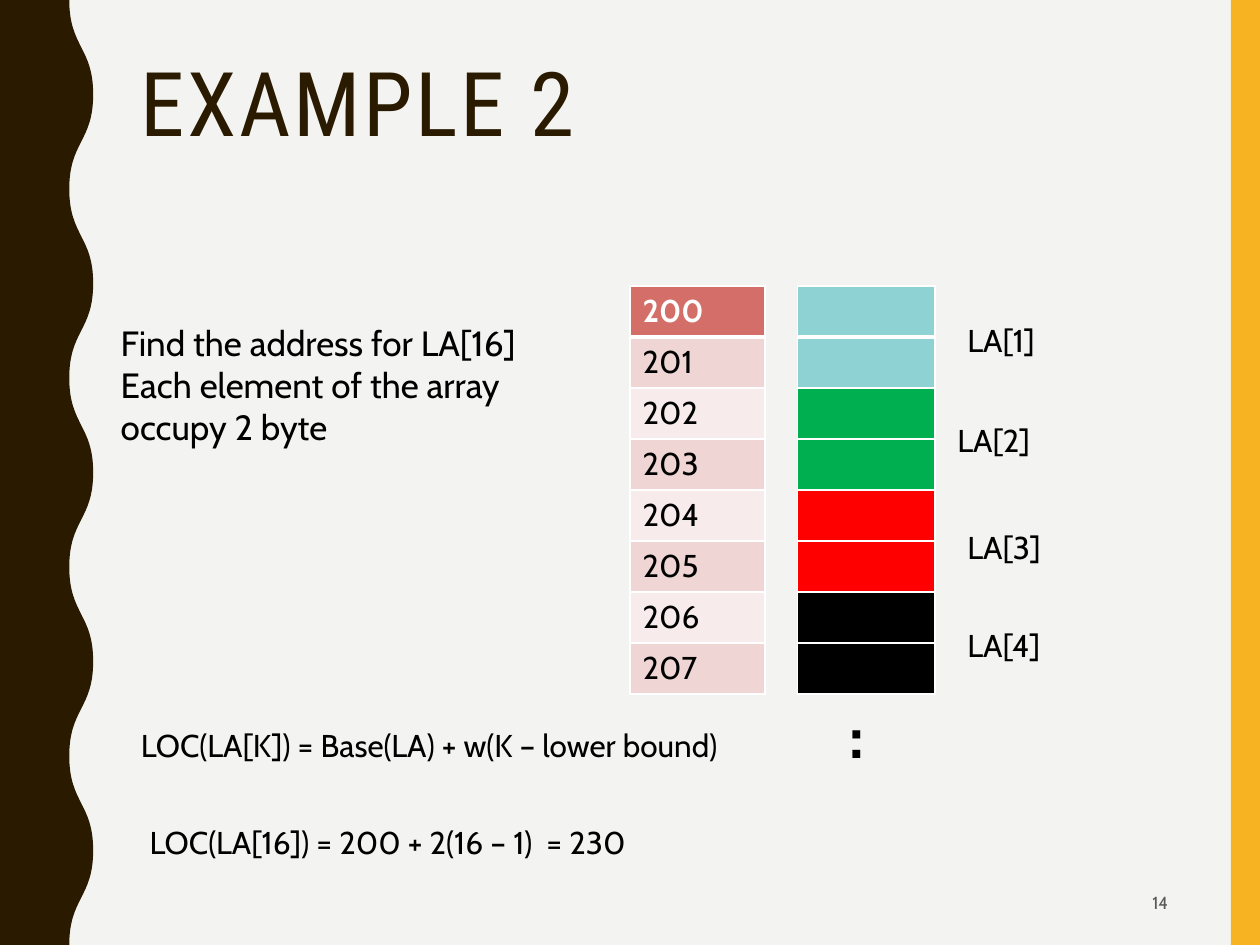
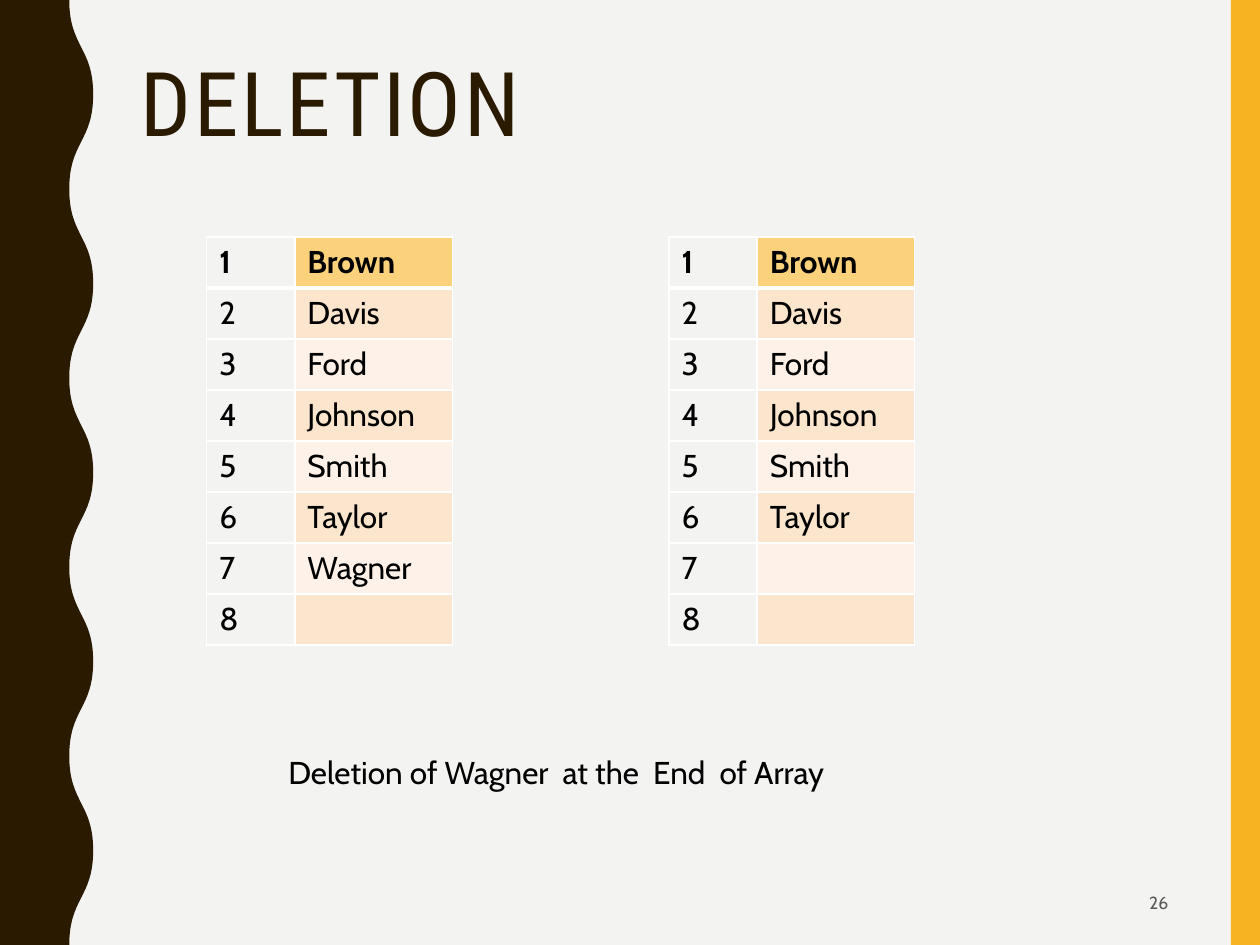
from lxml.etree import SubElement
from pptx import Presentation
from pptx.dml.color import RGBColor
from pptx.enum.shapes import MSO_SHAPE
from pptx.enum.text import MSO_ANCHOR, PP_ALIGN
from pptx.oxml.ns import qn
from pptx.util import Pt

PX = 9144
C = {
    "bg": "F3F3F2", "brown": "2A1A00", "gold": "F8B323", "grey": "595959",
    "black": "000000", "white": "FFFFFF",
    "teal": "8FD2D4", "green": "00B050", "red": "FF0000",
    "rose": "D36F68", "rose_mid": "EFD5D4", "rose_pale": "F7EBEB",
    "amber": "FBD17B", "peach": "FCE5CD", "peach_pale": "FEF2E8",
}
RGB = {name: RGBColor.from_string(value) for name, value in C.items()}


def set_text(tf, text, size=18, color="black", font="Cabin", bold=False,
             align=PP_ALIGN.LEFT, anchor=MSO_ANCHOR.TOP, line=None, spacing=None):
    tf.word_wrap = True
    tf.vertical_anchor = anchor
    for i, words in enumerate(text.split("\n")):
        p = tf.add_paragraph() if i else tf.paragraphs[0]
        p.alignment = align
        if line:
            p.line_spacing = line
        r = p.add_run()
        r.text = words
        r.font.size, r.font.name, r.font.bold = Pt(size), font, bold
        r.font.color.rgb = RGB[color]
        if spacing:
            r.font._element.set("spc", str(spacing))


def add_table(s, left, top, widths, rows, fills, head_color="black"):
    tbl = s.shapes.add_table(len(rows), len(widths), left * PX, top * PX,
                             sum(widths) * PX, 324 * PX).table
    tbl.first_row = tbl.horz_banding = False
    for col, width in zip(tbl.columns, widths):
        col.width = width * PX
    for i, (row, row_fills) in enumerate(zip(rows, fills)):
        for j, (text, fill) in enumerate(zip(row, row_fills)):
            cell = tbl.cell(i, j)
            for side in "LRTB":
                thick = (i, side) in ((0, "B"), (1, "T"))
                ln = SubElement(cell._tc.get_or_add_tcPr(), qn("a:ln" + side),
                                w=str(Pt(3 if thick else 1)))
                SubElement(SubElement(ln, qn("a:solidFill")), qn("a:srgbClr"), val=C["white"])
            if fill:
                cell.fill.solid()
                cell.fill.fore_color.rgb = RGB[fill]
            else:
                cell.fill.background()
            if text:
                set_text(cell.text_frame, text, bold=i == 0,
                         color="black" if i else head_color)


prs = Presentation()
prs.slide_width, prs.slide_height = 1000 * PX, 750 * PX

wave = [(740 if i % 2 else 550, 750 * i) for i in range(11)]

slides = []
for title, number in (("EXAMPLE 2", "14"), ("DELETION", "26")):
    s = prs.slides.add_slide(prs.slide_layouts[6])
    s.background.fill.solid()
    s.background.fill.fore_color.rgb = RGB["bg"]
    band = s.shapes.add_shape(MSO_SHAPE.RECTANGLE, 977 * PX, 0, 23 * PX, 750 * PX)
    fb = s.shapes.build_freeform(*wave[0], scale=PX / 10)
    fb.add_line_segments(wave[1:] + [(0, 7500), (0, 0)], close=True)
    edge = fb.convert_to_shape()
    segments = list(edge._element.iter(qn("a:lnTo")))
    for segment, (x1, y1), (x2, y2) in zip(segments, wave, wave[1:]):
        segment.tag = qn("a:cubicBezTo")
        for i, x in enumerate((x1, x2)):
            pt = SubElement(segment, qn("a:pt"), x=str(x), y=str((y1 + y2) // 2))
            segment.insert(i, pt)
    for sp, color in ((band, "gold"), (edge, "brown")):
        sp.shadow.inherit = False
        sp.fill.solid()
        sp.fill.fore_color.rgb = RGB[color]
        sp.line.fill.background()
    set_text(s.shapes.add_textbox(102 * PX, 42 * PX, 835 * PX, 163 * PX).text_frame,
             title, size=51, color="brown", font="Roboto Condensed", line=0.9, spacing=150)
    set_text(s.shapes.add_textbox(706 * PX, 697 * PX, 231 * PX, 38 * PX).text_frame,
             number, size=10, color="grey", align=PP_ALIGN.RIGHT, anchor=MSO_ANCHOR.MIDDLE)
    slides.append(s)
example, deletion = slides

element_fills = [[color] for color in ("teal", "green", "red", "black") for _ in range(2)]
address_fills = [["rose"]] + [["rose_mid" if i % 2 else "rose_pale"] for i in range(1, 8)]
add_table(example, 633, 227, [109], [[""]] * 8, element_fills)
add_table(example, 500, 227, [107], [[str(200 + i)] for i in range(8)],
          address_fills, head_color="white")

names = ["Brown", "Davis", "Ford", "Johnson", "Smith", "Taylor", "Wagner", ""]
name_fills = [[None, "amber"]] + [[None, "peach" if i % 2 else "peach_pale"]
                                 for i in range(1, 8)]
for left, kept in ((164, 7), (531, 6)):
    rows = [[str(i + 1), name if i < kept else ""] for i, name in enumerate(names)]
    add_table(deletion, left, 188, [70, 125], rows, name_fills)

for s, left, top, width, height, text, fmt in (
    (example, 758, 250, 94, 40, "LA[1]", {}),
    (example, 750, 329, 94, 40, "LA[2]", {}),
    (example, 758, 414, 94, 40, "LA[3]", {}),
    (example, 758, 492, 94, 40, "LA[4]", {}),
    (example, 86, 250, 398, 111,
     "Find the address for LA[16]\nEach element of the array occupy 2 byte", {"size": 20}),
    (example, 102, 571, 563, 40, "LOC(LA[K]) = Base(LA) + w(K – lower bound)", {}),
    (example, 109, 648, 547, 40, "LOC(LA[16]) = 200 + 2(16 – 1)  = 230", {}),
    (example, 664, 547, 172, 71, ":", {"size": 36, "bold": True}),
    (deletion, 219, 593, 563, 40, "Deletion of Wagner  at the  End  of Array", {}),
):
    tf = s.shapes.add_textbox(left * PX, top * PX, width * PX, height * PX).text_frame
    set_text(tf, text, **fmt)

prs.save("out.pptx")
